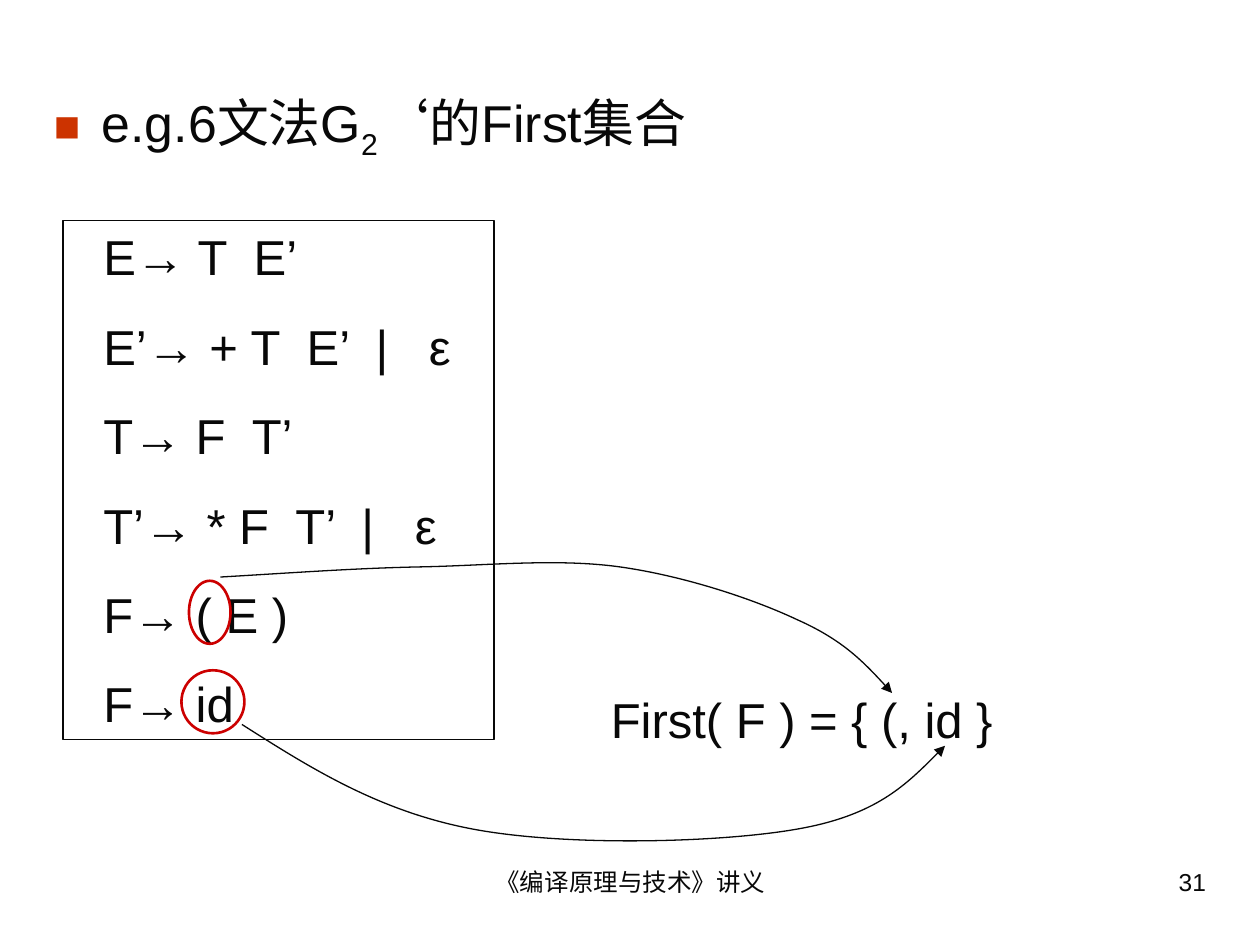
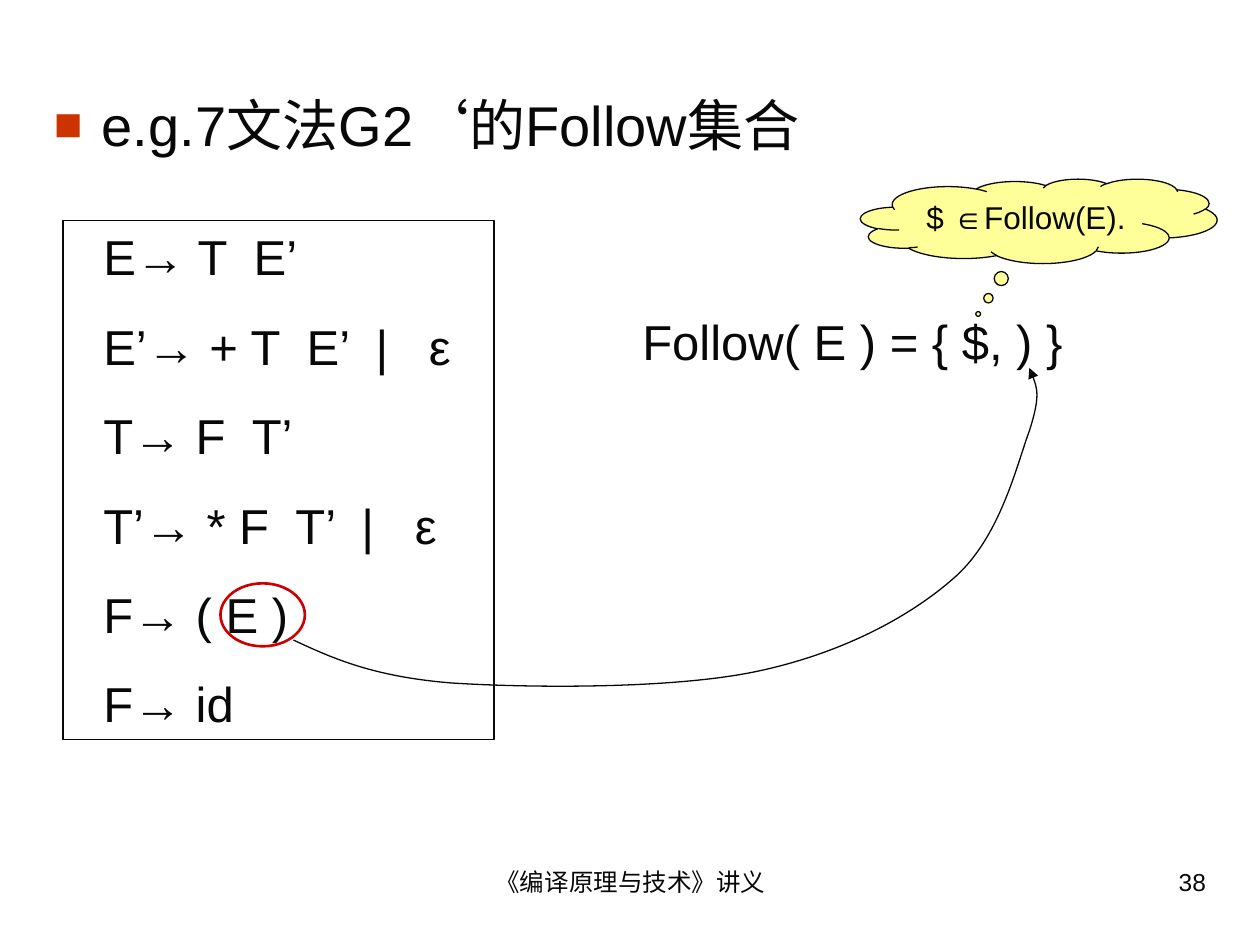
from dataclasses import dataclass

from lxml.etree import SubElement
from pptx import Presentation
from pptx.dml.color import RGBColor
from pptx.enum.shapes import MSO_SHAPE
from pptx.enum.text import MSO_ANCHOR, PP_ALIGN
from pptx.oxml.ns import qn
from pptx.util import Inches, Pt


@dataclass(frozen=True)
class Theme:
    font: str = "Arial"
    ink: RGBColor = RGBColor(0x08, 0x08, 0x08)
    bullet: RGBColor = RGBColor(0xCC, 0x33, 0x00)
    ring: RGBColor = RGBColor(0xCC, 0x00, 0x00)
    cloud: RGBColor = RGBColor(0xFF, 0xFF, 0x99)
    body_size: float = 28
    note_size: float = 18
    footer_size: float = 14
    rule_gap: float = 17.5
    thin: float = 0.75
    thick: float = 1.5


GRAMMAR = [
    "E→ T  E’",
    "E’→ + T  E’  |   ε",
    "T→ F  T’",
    "T’→ * F  T’  |   ε",
    "F→ ( E )",
    "F→ id",
]
FOOTER = "《编译原理与技术》讲义"


class LectureDeck:
    def __init__(self, theme):
        self.theme = theme
        self.deck = Presentation()
        self.deck.slide_width = Inches(10)
        self.deck.slide_height = Inches(7.5)
        self.page = None

    def start_page(self, number, title_spans, title_size):
        self.page = self.deck.slides.add_slide(self.deck.slide_layouts[6])
        size = self.theme.footer_size
        self.text((3.42, 6.83, 3.17, 0.52), FOOTER, size, PP_ALIGN.CENTER)
        self.text((7.17, 6.83, 2.5, 0.52), str(number), size, PP_ALIGN.RIGHT)
        self.title(title_spans, title_size)
        self.grammar()

    def style(self, para, size, align=PP_ALIGN.LEFT):
        para.alignment = align
        para.font.name = self.theme.font
        para.font.size = Pt(size)
        para.font.color.rgb = self.theme.ink

    def text_box(self, place):
        box = self.page.shapes.add_textbox(*map(Inches, place))
        box.text_frame.word_wrap = True
        return box.text_frame.paragraphs[0]

    def text(self, place, words, size, align=PP_ALIGN.LEFT):
        para = self.text_box(place)
        para.text = words
        self.style(para, size, align)

    def title(self, spans, size):
        para = self.text_box((0.33, 0.67, 9.34, 0.67))
        for words, baseline in spans:
            span = para.add_run()
            span.text = words
            if baseline:
                span._r.get_or_add_rPr().set("baseline", str(baseline * 1000))
        properties = para._p.get_or_add_pPr()
        properties.set("marL", str(Inches(0.38)))
        properties.set("indent", str(Inches(-0.38)))
        color = SubElement(properties, qn("a:buClr"))
        SubElement(color, qn("a:srgbClr"), val=str(self.theme.bullet))
        SubElement(properties, qn("a:buSzPct"), val="85000")
        SubElement(properties, qn("a:buFont"), typeface=self.theme.font)
        SubElement(properties, qn("a:buChar"), char="■")
        self.style(para, size)

    def outline(self, shape, color, width, fill=None):
        shape.shadow.inherit = False
        if fill is None:
            shape.fill.background()
        else:
            shape.fill.solid()
            shape.fill.fore_color.rgb = fill
        shape.line.color.rgb = color
        shape.line.width = Pt(width)

    def shape(self, kind, place, color, width, fill=None):
        shape = self.page.shapes.add_shape(kind, *map(Inches, place))
        self.outline(shape, color, width, fill)
        shape.text_frame.word_wrap = True
        shape.text_frame.vertical_anchor = MSO_ANCHOR.TOP
        return shape

    def grammar(self):
        theme = self.theme
        place = (0.5, 1.75, 3.42, 4.12)
        frame = self.shape(MSO_SHAPE.RECTANGLE, place, theme.ink, theme.thin).text_frame
        frame.margin_left = Inches(0.32)
        for index, rule in enumerate(GRAMMAR):
            para = frame.add_paragraph() if index else frame.paragraphs[0]
            para.text = rule
            if index:
                para.space_before = Pt(theme.rule_gap)
            self.style(para, theme.body_size)

    def ring(self, place):
        self.shape(MSO_SHAPE.OVAL, place, self.theme.ring, self.theme.thick)

    def cloud(self, place, words, pointer):
        theme = self.theme
        cloud = self.shape(MSO_SHAPE.CLOUD_CALLOUT, place, theme.ink, theme.thin, theme.cloud)
        for index, offset in enumerate(pointer):
            cloud.adjustments[index] = offset
        para = cloud.text_frame.paragraphs[0]
        para.text = words
        self.style(para, theme.note_size, PP_ALIGN.CENTER)

    def curved_arrow(self, start, *points):
        builder = self.page.shapes.build_freeform(*map(Inches, start))
        builder.add_line_segments([tuple(map(Inches, point)) for point in points], close=False)
        arrow = builder.convert_to_shape()
        steps = list(arrow._element.iter(qn("a:lnTo")))
        outline_path = steps[0].getparent()
        for first in range(0, len(steps), 3):
            curve = SubElement(outline_path, qn("a:cubicBezTo"))
            for step in steps[first:first + 3]:
                curve.append(step[0])
                outline_path.remove(step)
        self.outline(arrow, self.theme.ink, self.theme.thin)
        line = arrow._element.spPr.find(qn("a:ln"))
        SubElement(line, qn("a:tailEnd"), type="triangle")

    def save(self):
        self.deck.save("out.pptx")


def first_set_page(lecture):
    lecture.start_page(31, [("e.g.6文法G", 0), ("2", -25), ("‘的First集合", 0)], 29.6)
    lecture.text((4.75, 5.42, 4.33, 0.57), "First( F ) = { (, id }", lecture.theme.body_size)
    lecture.ring((1.44, 5.32, 0.5, 0.5))
    lecture.ring((1.5, 4.61, 0.33, 0.5))
    lecture.curved_arrow(
        (1.92, 5.75),
        (2.47, 6.1), (3.01, 6.44), (3.75, 6.58),
        (4.49, 6.72), (5.71, 6.69), (6.33, 6.58),
        (6.96, 6.47), (7.23, 6.19), (7.5, 5.92),
    )
    lecture.curved_arrow(
        (1.75, 4.58),
        (2.28, 4.55), (2.81, 4.51), (3.33, 4.5),
        (3.86, 4.49), (4.42, 4.43), (4.92, 4.5),
        (5.42, 4.57), (5.97, 4.75), (6.33, 4.92),
        (6.69, 5.08), (6.89, 5.29), (7.08, 5.5),
    )


def follow_set_page(lecture):
    lecture.start_page(38, [("e.g.7文法G2‘的Follow集合", 0)], 32)
    lecture.text((5, 2.42, 4.17, 0.57), "Follow( E ) = { $, ) }", lecture.theme.body_size)
    lecture.ring((1.75, 4.63, 0.67, 0.5))
    lecture.curved_arrow(
        (2.33, 5.08),
        (2.65, 5.23), (2.97, 5.37), (3.58, 5.42),
        (4.19, 5.46), (5.33, 5.47), (6, 5.33),
        (6.67, 5.19), (7.22, 4.9), (7.58, 4.58),
        (7.94, 4.26), (8.07, 3.69), (8.17, 3.42),
        (8.26, 3.14), (8.22, 3.03), (8.17, 2.92),
    )
    lecture.cloud((6.83, 1.42, 2.83, 0.67), "$ ∈Follow(E).", (-0.17, 1.1))


def main():
    lecture = LectureDeck(Theme())
    first_set_page(lecture)
    follow_set_page(lecture)
    lecture.save()


if __name__ == "__main__":
    main()
